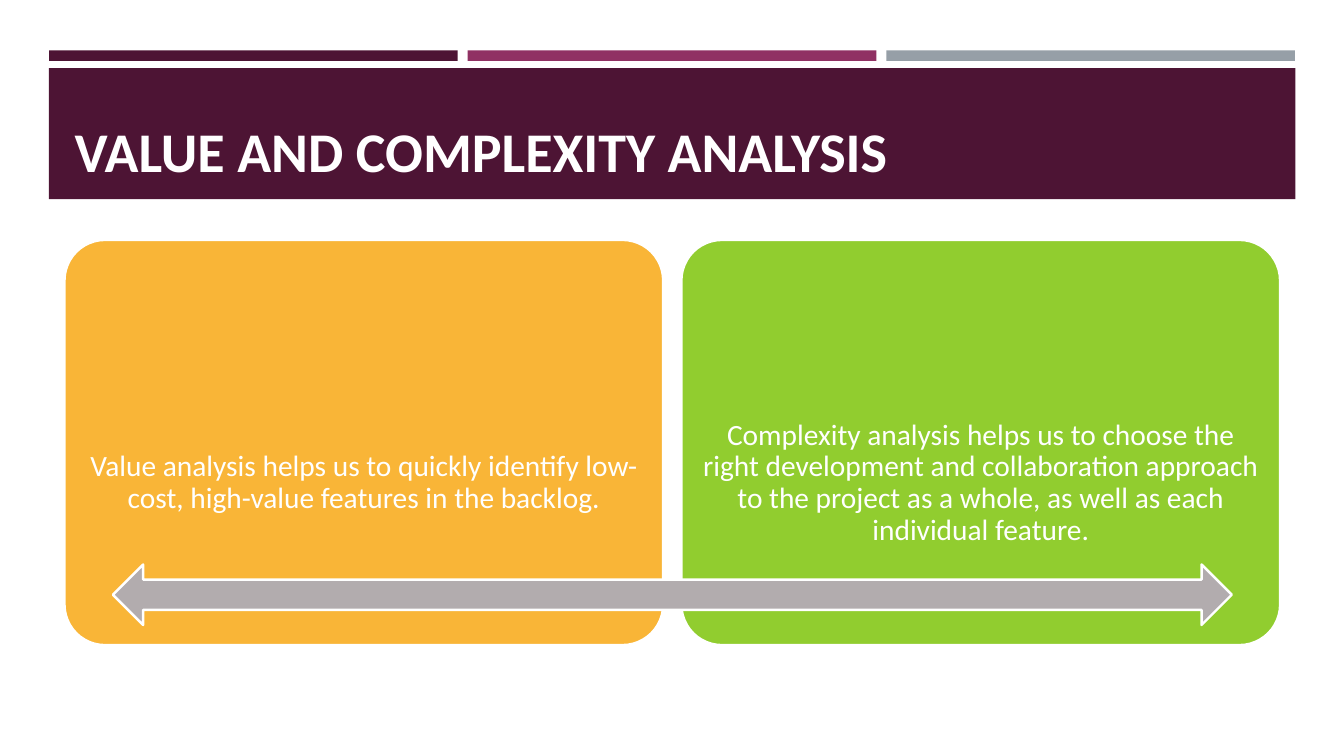
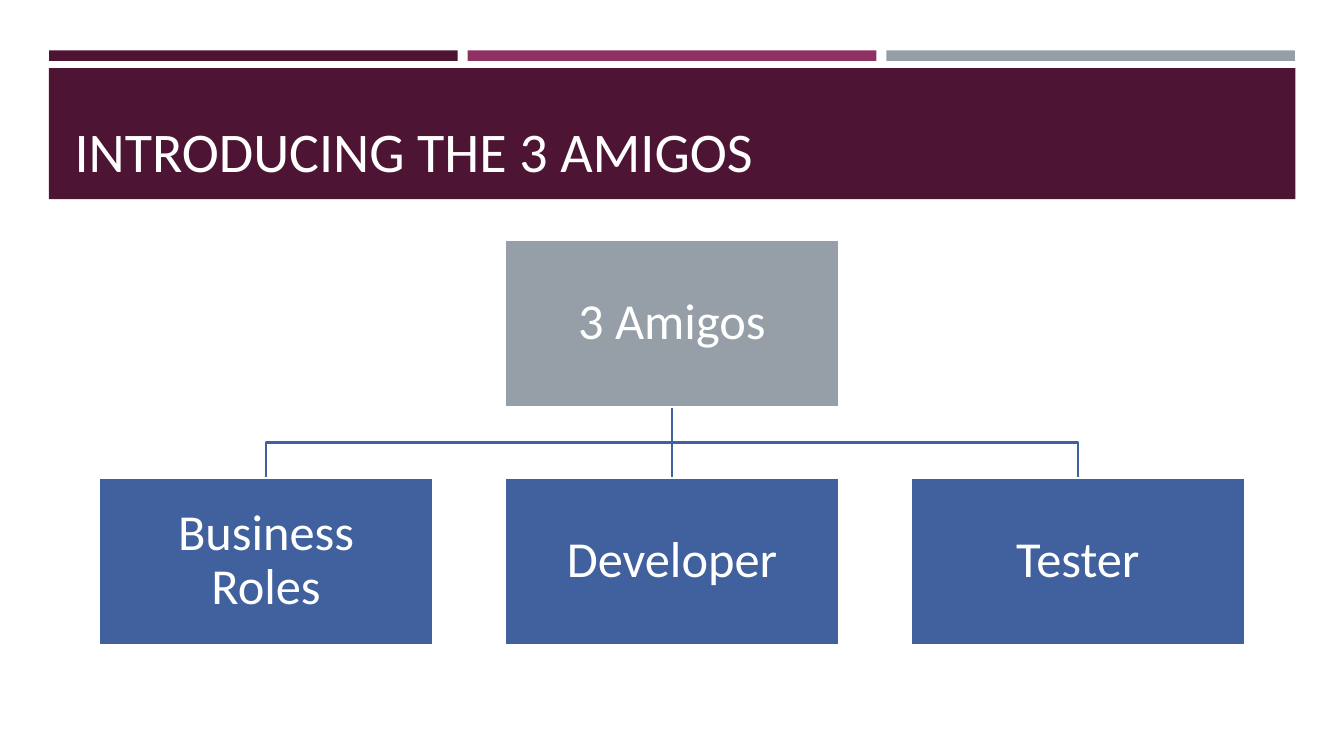
from dataclasses import dataclass

from pptx import Presentation
from pptx.dml.color import RGBColor as Rgb
from pptx.enum.shapes import MSO_SHAPE as Kind
from pptx.enum.text import MSO_ANCHOR as Anchor, MSO_AUTO_SIZE as Auto, PP_ALIGN as Align
from pptx.util import Inches, Pt


@dataclass(frozen=True)
class Theme:
    """Colours, font, type sizes and line width of the deck."""
    plum: str = "4D1434"
    berry: str = "903163"
    slate: str = "969FA7"
    amber: str = "F9B537"
    lime: str = "91CD2F"
    blue: str = "40619D"
    ash: str = "B2ACAE"
    white: str = "FFFFFF"
    font: str = "Calibri"
    head: int = 40
    node: int = 36
    body: int = 21
    line: float = 1.75


class Deck:
    """Draws on the current slide; lengths are percent of its width and height."""

    def __init__(self, theme):
        """Open a wide deck with the given theme."""
        self.theme = theme
        self.prs = Presentation()
        self.prs.slide_width, self.prs.slide_height = Inches(13.33), Inches(7.5)

    def point(self, x, y):
        """Turn shares into slide units."""
        return round(self.prs.slide_width * x / 100), round(self.prs.slide_height * y / 100)

    def area(self, x, y, w, h):
        """Turn a box of shares into slide units."""
        return *self.point(x, y), *self.point(w, h)

    def label(self, shape, text, size, bold=False, align=Align.CENTER,
              anchor=Anchor.MIDDLE, inset=None):
        """Fill a shape with styled text, one run per line."""
        frame = shape.text_frame
        frame.word_wrap, frame.auto_size = True, Auto.NONE
        frame.vertical_anchor = anchor
        if inset is not None:
            frame.margin_left = frame.margin_right = Inches(inset)
            frame.margin_top = frame.margin_bottom = Inches(inset)
        para = frame.paragraphs[0]
        para.alignment, para.line_spacing = align, 0.9
        for i, line in enumerate(text.split("\n")):
            if i:
                para.add_line_break()
            run = para.add_run()
            run.text = line
            font = run.font
            font.name, font.size, font.bold = self.theme.font, Pt(size), bold
            font.color.rgb = Rgb.from_string(self.theme.white)

    def shape(self, kind, box, fill, edge=True):
        """Add a flat preset shape, with a white edge if asked."""
        item = self.slide.shapes.add_shape(kind, *self.area(*box))
        item.shadow.inherit = False
        item.fill.solid()
        item.fill.fore_color.rgb = Rgb.from_string(fill)
        if edge:
            self.stroke(item, self.theme.white)
        else:
            item.line.fill.background()
        return item

    def stroke(self, item, color):
        """Style an outline."""
        item.line.color.rgb = Rgb.from_string(color)
        item.line.width = Pt(self.theme.line)

    def text(self, box, text, size, inset):
        """Add a centred text box."""
        item = self.slide.shapes.add_textbox(*self.area(*box))
        self.label(item, text, size, inset=inset)

    def route(self, *stops):
        """Add an open line through the given points."""
        first, *rest = [self.point(*stop) for stop in stops]
        pen = self.slide.shapes.build_freeform(*first)
        pen.add_line_segments(rest, close=False)
        item = pen.convert_to_shape()
        item.shadow.inherit = False
        item.fill.background()
        self.stroke(item, self.theme.blue)

    def page(self, title, bold=False):
        """Start a slide with bars, band and title."""
        t = self.theme
        self.slide = self.prs.slides.add_slide(self.prs.slide_layouts[5])
        for i, fill in enumerate((t.plum, t.berry, t.slate)):
            self.shape(Kind.RECTANGLE, (3.65 + 31.15 * i, 6.67, 30.4, 1.4), fill, False)
        self.shape(Kind.RECTANGLE, (3.63, 9, 92.75, 17.33), t.plum, False)
        head = self.slide.shapes.title
        head.left, head.top, head.width, head.height = self.area(4.8, 10.27, 90.45, 14.8)
        self.label(head, title, t.head, bold, Align.LEFT, Anchor.BOTTOM)
        self.slide.shapes.element.append(head.element)


TOP = 31.73


def value(deck):
    """Two cards joined by a double arrow."""
    t = deck.theme
    deck.page("VALUE AND COMPLEXITY ANALYSIS", bold=True)
    cards = (
        (t.amber, "Value analysis helps us to quickly identify low-cost, "
                  "high-value features in the backlog."),
        (t.lime, "Complexity analysis helps us to choose the right development and "
                 "collaboration approach to the project as a whole, as well as each "
                 "individual feature."),
    )
    for i, (fill, words) in enumerate(cards):
        left, wide = 4.8 + 45.9 * i, 44.55
        card = deck.shape(Kind.ROUNDED_RECTANGLE, (left, TOP, wide, 53.6), fill)
        card.adjustments[0] = 0.1
        deck.text((left, 53.2, wide, 21.47), words, t.body, 0.16)
    deck.shape(Kind.LEFT_RIGHT_ARROW, (8.4, 74.67, 83.25, 8), t.ash)


def team(deck):
    """A tree of one group and its three roles."""
    t = deck.theme
    deck.page("INTRODUCING THE 3 AMIGOS")
    mid, step, wide, high, low = 50, 30.2, 24.9, 22.13, 63.2
    base = TOP + high
    bend = (base + low) / 2

    def node(x, y, fill, words):
        """Add one box centred on x."""
        box = deck.shape(Kind.RECTANGLE, (x - wide / 2, y, wide, high), fill)
        deck.label(box, words, t.node, inset=0.03)

    spots = [mid + step * k for k in (-1, 0, 1)]
    for x in spots:
        if x == mid:
            deck.route((mid, base), (mid, low))
        else:
            deck.route((mid, base), (mid, bend), (x, bend), (x, low))
    node(mid, TOP, t.slate, "3 Amigos")
    for x, role in zip(spots, ("Business\nRoles", "Developer", "Tester")):
        node(x, low, t.blue, role)


deck = Deck(Theme())
value(deck)
team(deck)
deck.prs.save("out.pptx")
